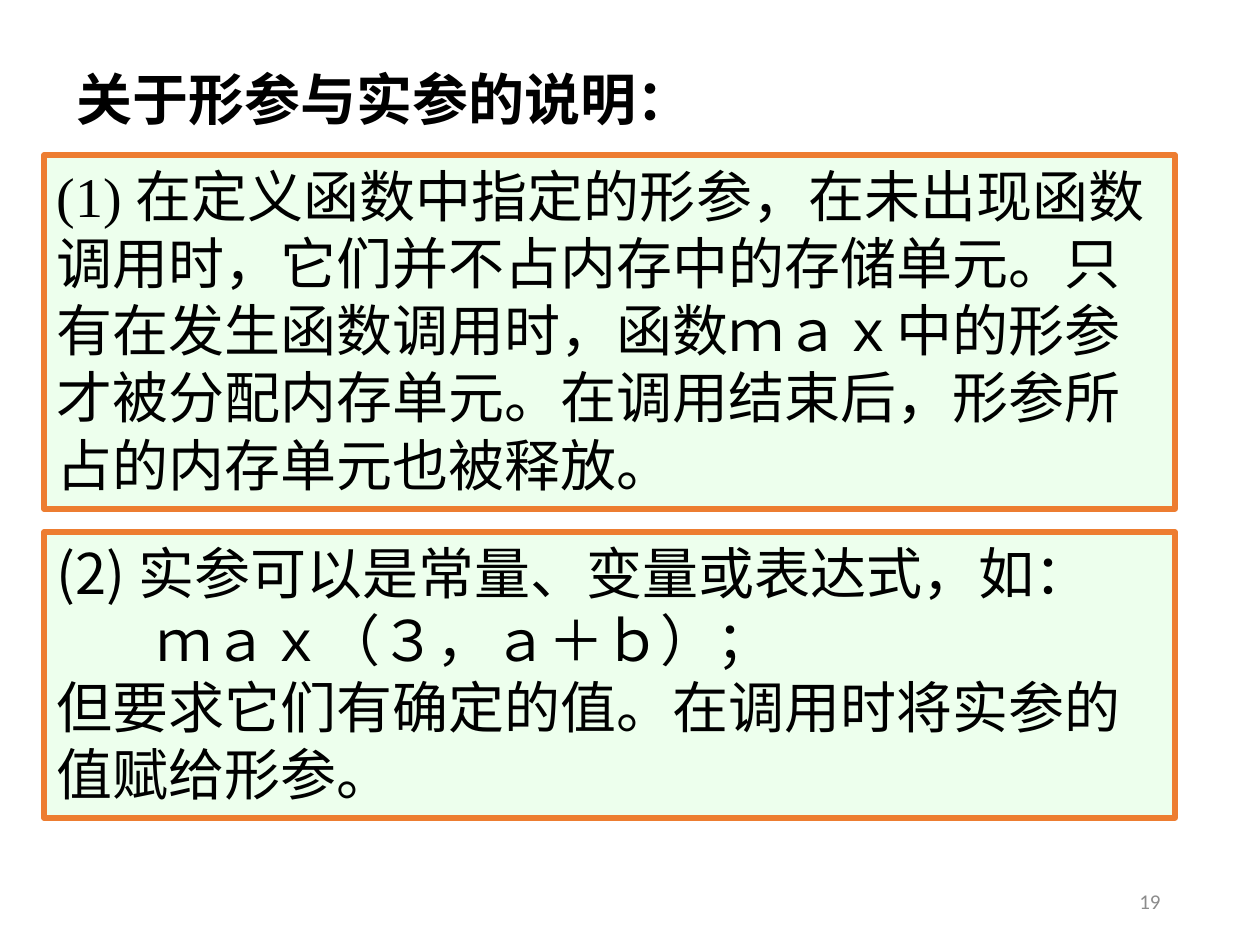
from dataclasses import dataclass
from typing import Any

from lxml.etree import SubElement
from pptx import Presentation
from pptx.dml.color import RGBColor
from pptx.enum.shapes import MSO_SHAPE as Shape
from pptx.enum.text import MSO_ANCHOR as Anchor, PP_ALIGN as Align
from pptx.oxml.ns import qn
from pptx.util import Emu, Pt

PX = 914400 // 126


def px(length):
    return Emu(length * PX)


def color(value):
    return RGBColor.from_string(value)


@dataclass
class NoteSlide:
    slide: Any
    ink: str = "000000"
    muted: str = "8C8C8C"
    panel: str = "EDFFED"
    border: str = "ED7D31"
    cjk: str = "Noto Sans CJK SC"
    serif: str = "Times New Roman"
    sans: str = "Calibri"

    def set_line(self, paragraph, text, font, size=32, ink=None, bold=False,
                 align=Align.LEFT, indent=0):
        paragraph.text = text
        paragraph.alignment = align
        if indent:
            properties = paragraph._p.get_or_add_pPr()
            properties.set("marL", str(px(indent)))
            properties.set("indent", "0")
        style = paragraph.font
        style.size = Pt(size)
        style.bold = bold
        style.color.rgb = color(ink or self.ink)
        style.name = font
        SubElement(style._element, qn("a:ea"), typeface=self.cjk)

    def label(self, box, text, font, wrap=True, anchor=Anchor.TOP, **look):
        frame = self.slide.shapes.add_textbox(*map(px, box)).text_frame
        frame.word_wrap = wrap
        frame.vertical_anchor = anchor
        self.set_line(frame.paragraphs[0], text, font, **look)

    def note(self, box, lines, font):
        panel = self.slide.shapes.add_shape(Shape.RECTANGLE, *map(px, box))
        panel.shadow.inherit = False
        panel.fill.solid()
        panel.fill.fore_color.rgb = color(self.panel)
        panel.line.color.rgb = color(self.border)
        panel.line.width = Pt(3)
        frame = panel.text_frame
        frame.word_wrap = True
        frame.vertical_anchor = Anchor.TOP
        for number, (text, indent) in enumerate(lines):
            paragraph = frame.add_paragraph() if number else frame.paragraphs[0]
            self.set_line(paragraph, text, font, indent=indent)


def main():
    deck = Presentation()
    deck.slide_width, deck.slide_height = px(1260), px(945)
    page = NoteSlide(deck.slides.add_slide(deck.slide_layouts[6]))

    page.label((64, 58, 644, 79), "关于形参与实参的说明：", page.serif,
               wrap=False, bold=True)
    page.note((44, 155, 1131, 354), [
        ("(1) 在定义函数中指定的形参，在未出现函数调用时，它们并不占内存中的存储单元。"
         "只有在发生函数调用时，函数ｍａｘ中的形参才被分配内存单元。"
         "在调用结束后，形参所占的内存单元也被释放。", 0),
    ], page.serif)
    page.note((44, 532, 1131, 286), [
        ("(2) 实参可以是常量、变量或表达式，如：", 0),
        ("ｍａｘ（３，ａ＋ｂ）；", 100),
        ("但要求它们有确定的值。在调用时将实参的值赋给形参。", 0),
    ], page.cjk)
    page.label((890, 876, 283, 50), "19", page.sans, anchor=Anchor.MIDDLE,
               size=12, ink=page.muted, align=Align.RIGHT)

    deck.save("out.pptx")


if __name__ == "__main__":
    main()
